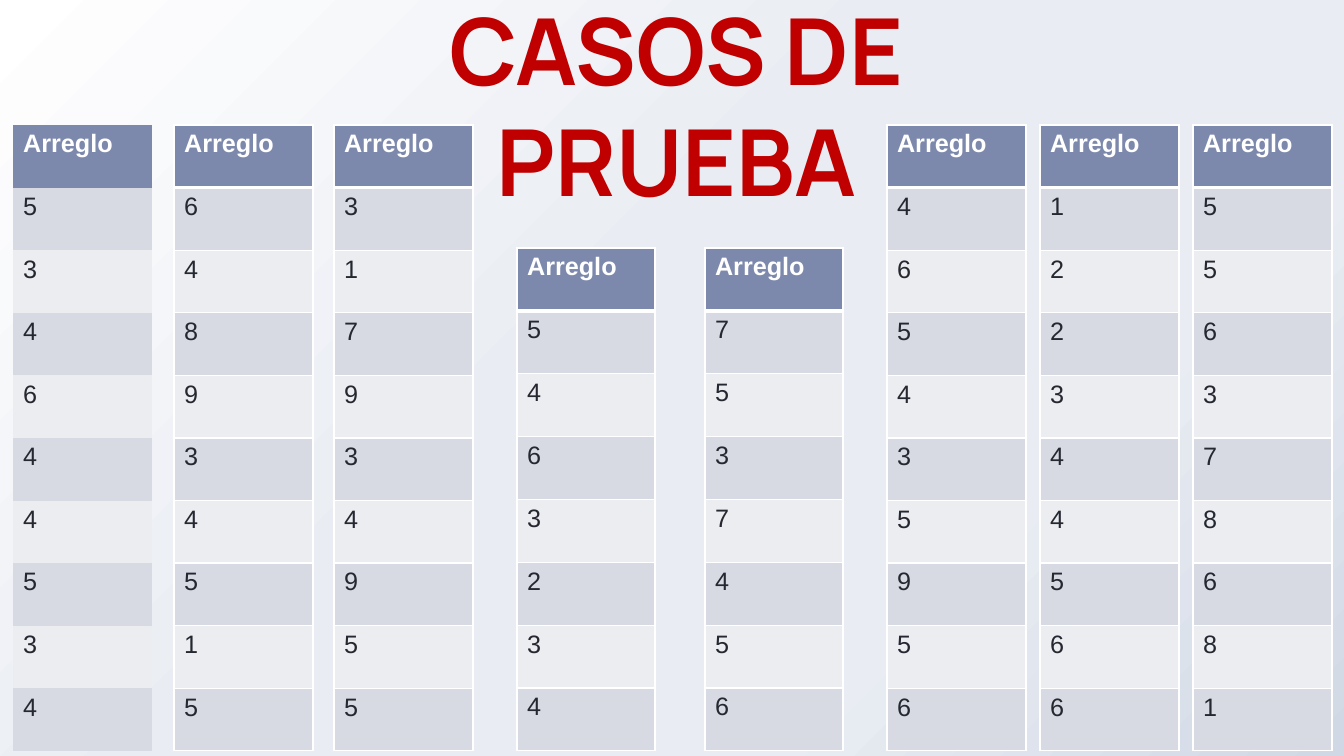
from lxml import etree
from pptx import Presentation
from pptx import util as u
from pptx.dml import color
from pptx.enum import text
from pptx.oxml import ns

PX = 914400 / 100.8
COLORS = {"title": "C00000", "header": "7D89AC", "odd": "D7DAE3", "even": "ECEDF1",
          "ink": "252831", "white": "FFFFFF", "mist": "E9EDF3", "haze": "D0D8E5"}
FORMATS = {
    "title": {"size": u.Pt(66), "name": "Manrope", "bold": True},
    "header": {"size": u.Pt(18), "name": "Arial", "bold": True},
    "value": {"size": u.Pt(18), "name": "Arial", "bold": False},
}
PLAIN_TABLE = "{2D5ABB26-0587-4C30-8999-92F81FD0307C}"


def px(*lengths):
    return [u.Emu(round(length * PX)) for length in lengths]


def style(font, kind, ink):
    for key, value in FORMATS[kind].items():
        setattr(font, key, value)
    font.color.rgb = color.RGBColor.from_string(COLORS[ink])


deck = Presentation()
deck.slide_width, deck.slide_height = px(1344, 756)
slide = deck.slides.add_slide(deck.slide_layouts[6])

stops = "".join(f'<a:gs pos="{pos * 1000}"><a:srgbClr val="{COLORS[name]}"/></a:gs>'
                for pos, name in [(0, "white"), (44, "mist"), (72, "mist"), (100, "haze")])
slide.background.fill.gradient()
gradient = slide.background._cSld.find(".//" + ns.qn("a:gradFill"))
gradient.getparent().replace(gradient, etree.fromstring(
    f'<a:gradFill {ns.nsdecls("a")} rotWithShape="1"><a:gsLst>{stops}</a:gsLst>'
    '<a:path path="circle"><a:fillToRect r="100000" b="100000"/></a:path></a:gradFill>'))

BOTTOM = 751
test_cases = [
    (13, 125, 139, "534644534"),
    (174, 125, 139, "648934515"),
    (334, 125, 139, "317934955"),
    (887, 125, 139, "465435956"),
    (1040, 125, 139, "122344566"),
    (1193, 125, 139, "556378681"),
    (517, 248, 138, "5463234"),
    (705, 248, 138, "7537456"),
]

for case, (left, top, width, values) in enumerate(test_cases):
    entries = ["Arreglo", *values]
    table = slide.shapes.add_table(len(entries), 1, *px(left, top, width, BOTTOM - top)).table
    table.first_row = table.horz_banding = False
    table._tbl.tblPr.find(ns.qn("a:tableStyleId")).text = PLAIN_TABLE
    for row, entry in enumerate(entries):
        table.rows[row].height = px((BOTTOM - top) / len(entries))[0]
        cell = table.cell(row, 0)
        cell.text = entry
        heading = row == 0
        style(cell.text_frame.paragraphs[0].runs[0].font,
              "header" if heading else "value", "white" if heading else "ink")
        cell.fill.solid()
        band = "header" if heading else "odd" if row % 2 else "even"
        cell.fill.fore_color.rgb = color.RGBColor.from_string(COLORS[band])
        if case == 0:
            continue
        borders = {"lnL": 1, "lnR": 1, "lnT": 3 if row == 1 else 1, "lnB": 3 if heading else 1}
        for place, (side, points) in enumerate(borders.items()):
            cell._tc.get_or_add_tcPr().insert(place, etree.fromstring(
                f'<a:{side} {ns.nsdecls("a")} w="{u.Pt(points)}"><a:solidFill>'
                f'<a:srgbClr val="{COLORS["white"]}"/></a:solidFill></a:{side}>'))

title = slide.shapes.add_textbox(*px(370, 19, 613, 170)).text_frame
frame_format = {"word_wrap": True, "vertical_anchor": text.MSO_ANCHOR.MIDDLE,
                "margin_left": 0, "margin_top": 0, "margin_right": 0, "margin_bottom": 0}
for key, value in frame_format.items():
    setattr(title, key, value)
heading_line = title.paragraphs[0]
heading_line.alignment = text.PP_ALIGN.CENTER
run = heading_line.add_run()
run.text = "CASOS DE PRUEBA"
style(run.font, "title", "title")

deck.save("out.pptx")
